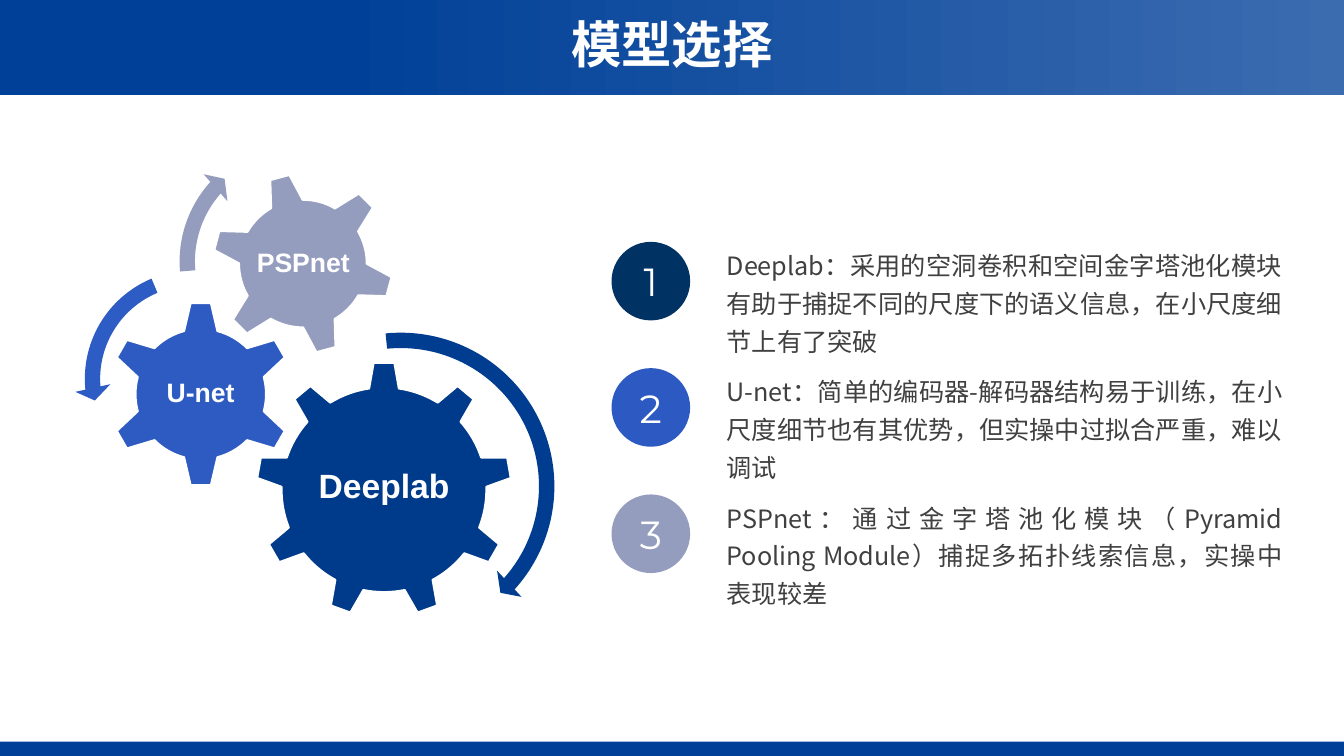
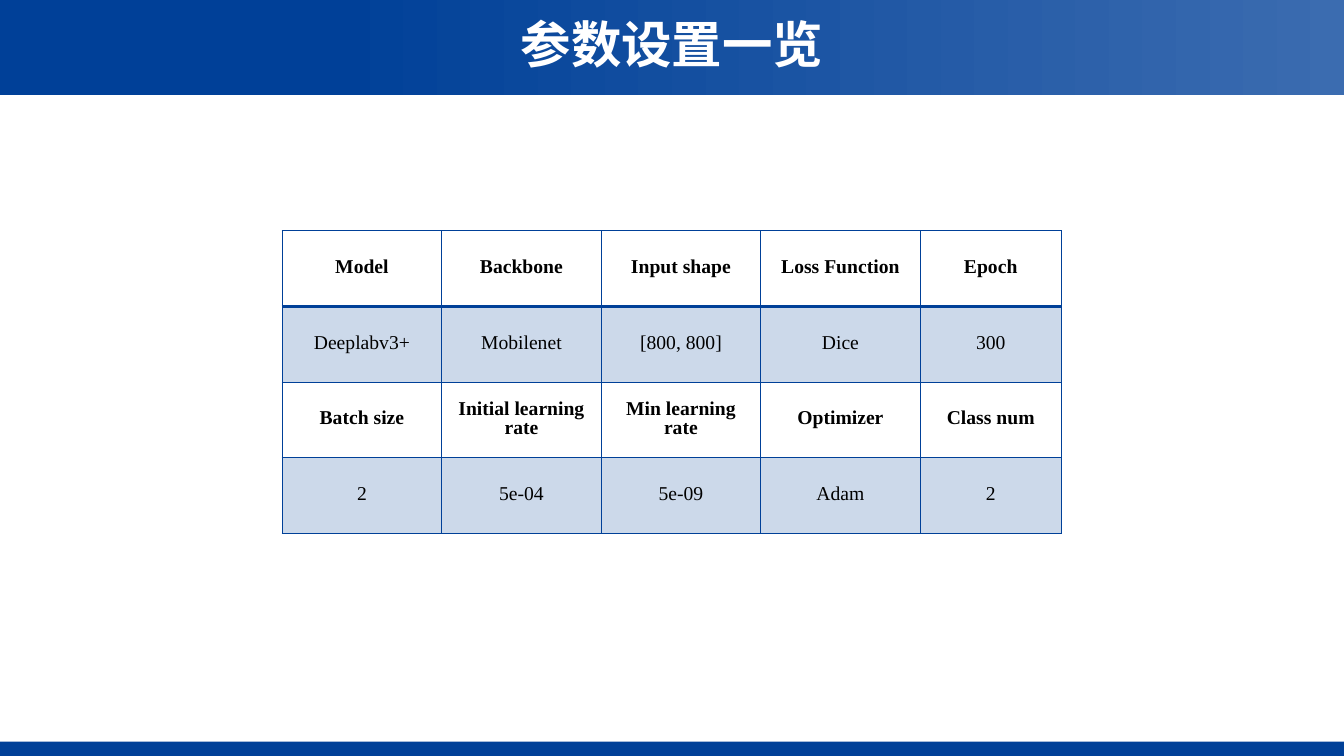
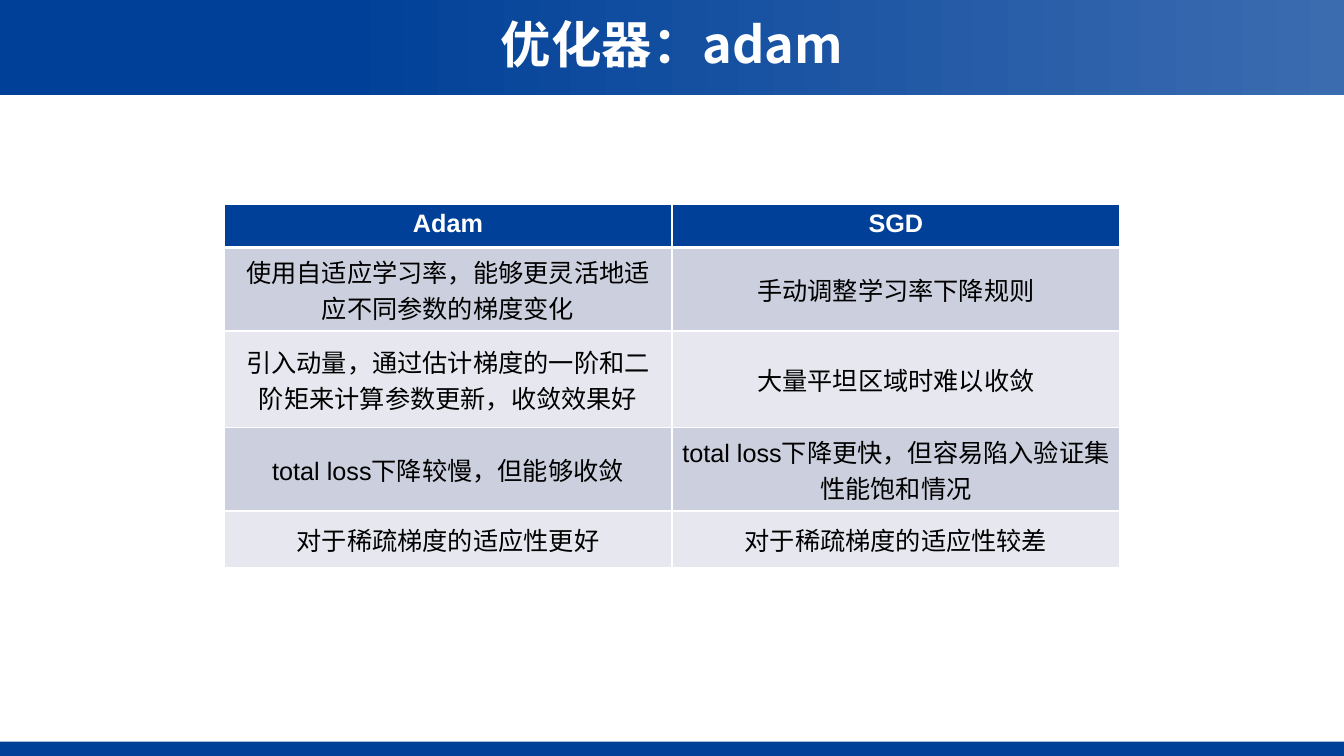
from lxml.etree import SubElement
from pptx import Presentation
from pptx.dml.color import RGBColor
from pptx.enum.shapes import MSO_SHAPE
from pptx.enum.text import MSO_ANCHOR, MSO_AUTO_SIZE, PP_ALIGN
from pptx.oxml.ns import qn
from pptx.util import Inches, Pt

BLUE, WHITE, BLACK = "004098", "FFFFFF", "000000"
CJK = "Noto Sans CJK SC"
hex_color = RGBColor.from_string

deck = Presentation()
deck.slide_width, deck.slide_height = Inches(13.33), Inches(7.5)
CELL = deck.slide_width / 100  # square grid, 100 columns wide


def draw(slide, kind, left, top, width, height, fill):
    """Add a flat preset shape, measured in grid cells."""
    box = [round(n * CELL) for n in (left, top, width, height)]
    shape = slide.shapes.add_shape(kind, *box)
    shape.shadow.inherit = False
    shape.fill.solid()
    shape.fill.fore_color.rgb = hex_color(fill)
    shape.line.fill.background()
    return shape


def write(frame, text, size, font, color, bold=False, align=PP_ALIGN.CENTER, spacing=1.0):
    """Fill a text frame with one paragraph of one run."""
    frame.word_wrap = True
    paragraph = frame.paragraphs[0]
    paragraph.alignment, paragraph.line_spacing = align, spacing
    run = paragraph.add_run()
    run.text = text
    run.font.size, run.font.bold, run.font.name = Pt(size), bold, font
    run.font.color.rgb = hex_color(color)
    SubElement(run._r.get_or_add_rPr(), qn("a:ea"), typeface=CJK)


# Slides with the shared title band and footer
slides = []
for title in ("模型选择", "参数设置一览", "优化器：adam"):
    slide = deck.slides.add_slide(deck.slide_layouts[6])
    draw(slide, MSO_SHAPE.RECTANGLE, 0, 55.2, 100, 1.05, BLUE)
    band = draw(slide, MSO_SHAPE.RECTANGLE, 0, 0, 100, 7.05, BLUE)
    band.fill.gradient()
    band.fill.gradient_angle = 0
    for stop, position, shade in zip(band.fill.gradient_stops, (0.25, 1), (BLUE, "3B6CB0")):
        stop.position = position
        stop.color.rgb = hex_color(shade)
    band.text_frame.vertical_anchor = MSO_ANCHOR.MIDDLE
    write(band.text_frame, title, 36, CJK, WHITE, bold=True, spacing=0.9)
    slides.append(slide)
models, settings, optimizers = slides

# Model choice: numbered notes
notes = [
    ("003264", "Deeplab：采用的空洞卷积和空间金字塔池化模块有助于捕捉不同的尺度下的语义信息，在小尺度细节上有了突破"),
    ("2D5AC2", "U-net：简单的编码器-解码器结构易于训练，在小尺度细节也有其优势，但实操中过拟合严重，难以调试"),
    ("959DBF", "PSPnet：通过金字塔池化模块（Pyramid Pooling Module）捕捉多拓扑线索信息，实操中表现较差"),
]
for index, (color, note) in enumerate(notes):
    drop = index * 9.4
    badge = draw(models, MSO_SHAPE.OVAL, 45.5, 18 + drop, 5.85, 5.85, color)
    badge.text_frame.vertical_anchor = MSO_ANCHOR.MIDDLE
    write(badge.text_frame, str(index + 1), 28, "Montserrat", WHITE)
    box = [round(n * CELL) for n in (53.33, 17.7 + drop, 42.83, 9)]
    frame = models.shapes.add_textbox(*box).text_frame
    write(frame, note, 18, CJK, "404040", align=PP_ALIGN.JUSTIFY, spacing=1.25)
    frame.auto_size = MSO_AUTO_SIZE.SHAPE_TO_FIT_TEXT

# Model choice: gears (left, top, size) with their labels
gears = [
    ("Deeplab", 24, MSO_SHAPE.GEAR_9, (19.05, 26.93, 19.05), 0, "003A8A", (22.88, 31.35, 11.4, 9.83)),
    ("U-net", 19, MSO_SHAPE.GEAR_6, (8, 22.4, 13.88), 0, "2D5BC2", (11.48, 25.88, 6.9, 6.83)),
    ("PSPnet", 19, MSO_SHAPE.GEAR_6, (15.75, 12.83, 13.58), 345, "959DBF", (18.75, 15.83, 7.65, 7.65)),
]
for model, size, kind, (left, top, side), turn, color, label in gears:
    gear = draw(models, kind, left, top, side, side, color)
    gear.rotation = turn
    gear.line.color.rgb = hex_color(WHITE)
    gear.line.width = Pt(1.5)
    frame = models.shapes.add_textbox(*[round(n * CELL) for n in label]).text_frame
    frame.margin_left = frame.margin_right = frame.margin_top = frame.margin_bottom = Inches(0.03)
    frame.vertical_anchor = MSO_ANCHOR.MIDDLE
    write(frame, model, size, "Arial", WHITE, bold=True, spacing=0.9)

# Model choice: turning arrows (thickness %, three angles in degrees, head %)
turns = [
    (MSO_SHAPE.CIRCULAR_ARROW, (17.63, 24, 24.38), "003D91", 4.69, (4.98, 41.95, 264.33), 5.47),
    (MSO_SHAPE.LEFT_CIRCULAR_ARROW, (5.55, 19.35, 17.7), "2E5CC5", 6.45, (7.17, 174.82, 247.3), 7.53),
    (MSO_SHAPE.CIRCULAR_ARROW, (12.6, 9.9, 19.13), "959DBF", 5.98, (6.57, 221.9, 175.14), 6.98),
]
for kind, (left, top, side), color, thickness, angles, head in turns:
    arrow = draw(models, kind, left, top, side, side, color)
    values = [thickness / 100, *[angle * 0.6 for angle in angles], head / 100]
    for index, value in enumerate(values):
        arrow.adjustments[index] = value

# Both tables
parameters = [
    ("Model", "Backbone", "Input shape", "Loss Function", "Epoch"),
    ("Deeplabv3+", "Mobilenet", "[800, 800]", "Dice", "300"),
    ("Batch size", "Initial learning rate", "Min learning rate", "Optimizer", "Class num"),
    ("2", "5e-04", "5e-09", "Adam", "2"),
]
comparison = [
    ("Adam", "SGD"),
    ("使用自适应学习率，能够更灵活地适应不同参数的梯度变化", "手动调整学习率下降规则"),
    ("引入动量，通过估计梯度的一阶和二阶矩来计算参数更新，收敛效果好", "大量平坦区域时难以收敛"),
    ("total loss下降较慢，但能够收敛", "total loss下降更快，但容易陷入验证集性能饱和情况"),
    ("对于稀疏梯度的适应性更好", "对于稀疏梯度的适应性较差"),
]
tables = [
    dict(slide=settings, texts=parameters, corner=(21, 17.18),
         columns=[11.87] * 4 + [10.5], rows=[5.63] * 4, border=BLUE, rule=2,
         fills=[None, "CCD9EA"] * 2, inks=[BLACK] * 4, bold_rows=(0, 2),
         size=14, font="Times New Roman", spacing=Pt(13.2), margins=(0.07, 0), top_rows=()),
    dict(slide=optimizers, texts=comparison, corner=(16.67, 15.23),
         columns=[33.33] * 2, rows=[3.2, 6.2, 7.2, 6.2, 4.25], border=WHITE, rule=3,
         fills=[BLUE] + ["CCCFDD", "E7E8EF"] * 2, inks=[WHITE] + [BLACK] * 4, bold_rows=(0,),
         size=18, font="Arial", spacing=1.0, margins=(0.1, 0.05), top_rows=(0,)),
]
for plan in tables:
    columns, rows = plan["columns"], plan["rows"]
    box = [round(n * CELL) for n in (*plan["corner"], sum(columns), sum(rows))]
    grid = plan["slide"].shapes.add_table(len(rows), len(columns), *box).table
    grid.first_row = grid.horz_banding = False
    for column, width in zip(grid.columns, columns):
        column.width = round(width * CELL)
    for r, texts in enumerate(plan["texts"]):
        grid.rows[r].height = round(rows[r] * CELL)
        for c, text in enumerate(texts):
            cell = grid.cell(r, c)
            side, edge = plan["margins"]
            cell.margin_left = cell.margin_right = Inches(side)
            cell.margin_top = cell.margin_bottom = Inches(edge)
            cell.vertical_anchor = MSO_ANCHOR.TOP if r in plan["top_rows"] else MSO_ANCHOR.MIDDLE
            write(cell.text_frame, text, plan["size"], plan["font"], plan["inks"][r],
                  bold=r in plan["bold_rows"], spacing=plan["spacing"])
            properties = cell._tc.get_or_add_tcPr()
            for name in ("lnL", "lnR", "lnT", "lnB"):
                on_rule = (r, name) in ((0, "lnB"), (1, "lnT"))
                weight = Pt(plan["rule"] if on_rule else 1)
                line = SubElement(properties, qn("a:" + name), w=str(weight))
                SubElement(SubElement(line, qn("a:solidFill")), qn("a:srgbClr"), val=plan["border"])
            if plan["fills"][r]:
                cell.fill.solid()
                cell.fill.fore_color.rgb = hex_color(plan["fills"][r])
            else:
                cell.fill.background()

deck.save("out.pptx")
